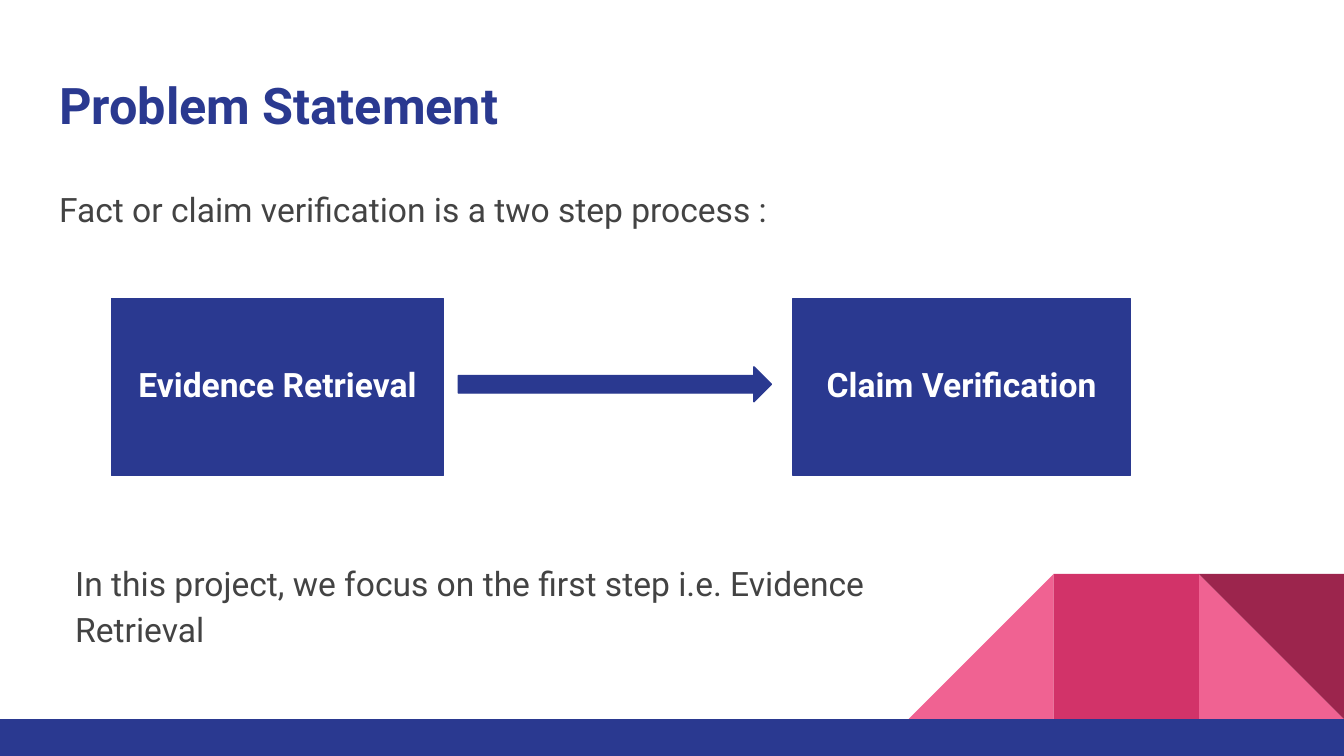
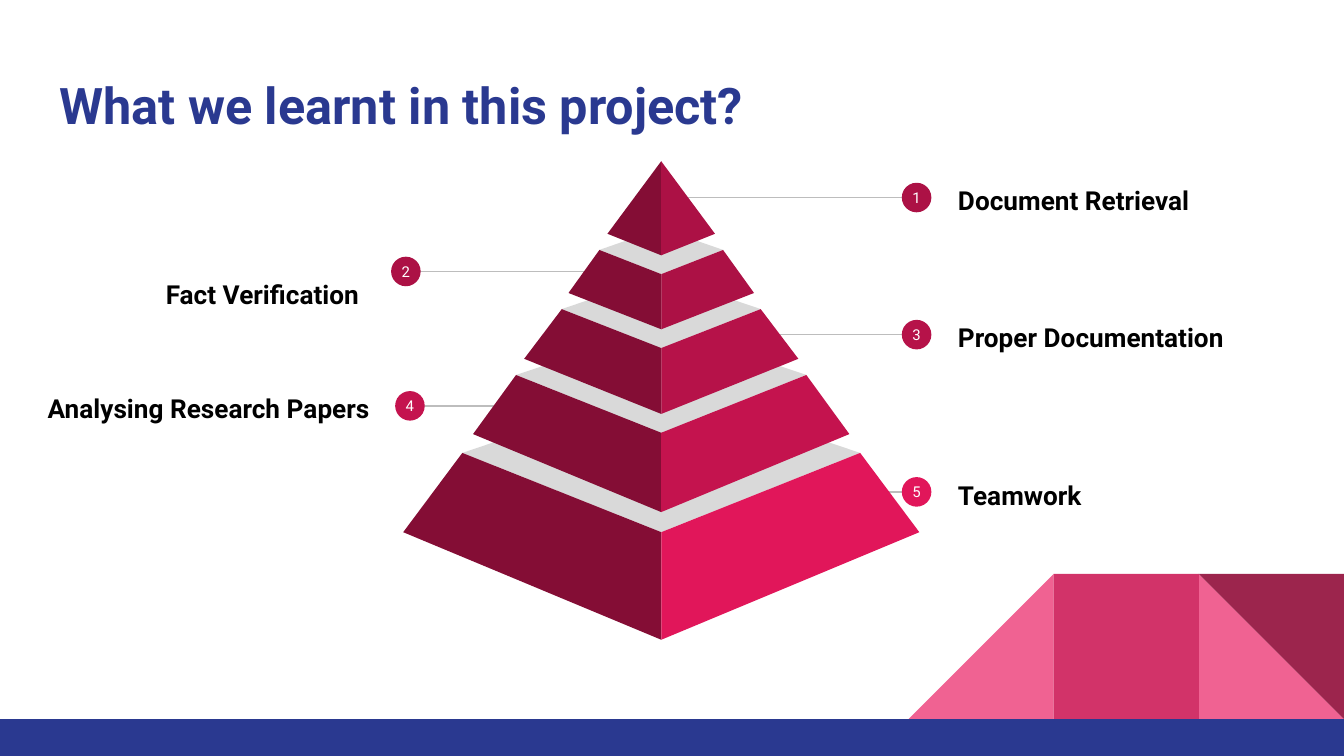
from pptx import Presentation
from pptx.dml.color import RGBColor
from pptx.enum.shapes import MSO_CONNECTOR, MSO_SHAPE
from pptx.enum.text import MSO_ANCHOR, MSO_AUTO_SIZE, PP_ALIGN
from pptx.oxml.ns import qn
from pptx.util import Inches, Pt
from lxml import etree

FONT = "Roboto"
BLUE = RGBColor(0x2A, 0x39, 0x90)
PINK = RGBColor(0xF0, 0x62, 0x92)
ROSE = RGBColor(0xD2, 0x33, 0x69)
WINE = RGBColor(0x9C, 0x25, 0x4D)
TEXT_GRAY = RGBColor(0x43, 0x43, 0x43)
LINE_GRAY = RGBColor(0xBD, 0xBD, 0xBD)
LID_GRAY = RGBColor(0xD9, 0xD9, 0xD9)
SHADE = RGBColor(0x84, 0x0D, 0x35)
CRIMSON_1 = RGBColor(0xAC, 0x11, 0x45)
CRIMSON_3 = RGBColor(0xB6, 0x12, 0x49)
CRIMSON_4 = RGBColor(0xC4, 0x13, 0x4E)
CRIMSON_5 = RGBColor(0xE1, 0x16, 0x5A)
WHITE = RGBColor(0xFF, 0xFF, 0xFF)
BLACK = RGBColor(0, 0, 0)


def paint(shape, color):
    shape.shadow.inherit = False
    shape.fill.solid()
    shape.fill.fore_color.rgb = color
    shape.line.fill.background()


def write(shape, text, size, color, bold=False, align=PP_ALIGN.LEFT,
          anchor=MSO_ANCHOR.MIDDLE, inset=0.1, spacing=1.0):
    frame = shape.text_frame
    frame.text = text
    frame.word_wrap = True
    frame.auto_size = MSO_AUTO_SIZE.NONE
    frame.vertical_anchor = anchor
    frame.margin_left = frame.margin_right = Inches(inset)
    frame.margin_top = frame.margin_bottom = Inches(inset)
    paragraph = frame.paragraphs[0]
    paragraph.alignment = align
    paragraph.line_spacing = spacing
    paragraph.space_before = Pt(0)
    font = paragraph.runs[0].font
    font.name, font.size, font.bold = FONT, Pt(size), bold
    font.color.rgb = color


presentation = Presentation()
presentation.slide_width = Inches(10)
presentation.slide_height = Inches(10) * 9 // 16

problem_slide = presentation.slides.add_slide(presentation.slide_layouts[3])
lessons_slide = presentation.slides.add_slide(presentation.slide_layouts[5])

decorations = [
    (MSO_SHAPE.RIGHT_TRIANGLE, 8.92, 4.27, 1.08, 1.08, 0, PINK),
    (MSO_SHAPE.RIGHT_TRIANGLE, 6.76, 4.27, 1.08, 1.08, 270, PINK),
    (MSO_SHAPE.RECTANGLE, 7.84, 4.27, 1.08, 1.08, 0, ROSE),
    (MSO_SHAPE.RIGHT_TRIANGLE, 8.92, 4.27, 1.08, 1.08, 180, WINE),
    (MSO_SHAPE.RECTANGLE, 0, 5.35, 10, 0.28, 0, BLUE),
]
master_tree = presentation.slide_master.shapes.element
for number, (kind, left, top, width, height, rotation, color) in enumerate(decorations):
    shape = problem_slide.shapes.add_shape(
        kind, Inches(left), Inches(top), Inches(width), Inches(height))
    shape.rotation = rotation
    paint(shape, color)
    shape.element.nvSpPr.cNvPr.set("id", str(20 + number))
    master_tree.append(shape.element)

for slide, heading in [
    (problem_slide, "Problem Statement"),
    (lessons_slide, "What we learnt in this project?"),
]:
    title = slide.shapes.title
    title.left, title.top = Inches(0.34), Inches(0.45)
    title.width, title.height = Inches(9.32), Inches(0.66)
    write(title, heading, 27, BLUE, bold=True, anchor=MSO_ANCHOR.TOP)

statements = [
    (1, 0.34, 1.26, 9.32, 0.53, "Fact or claim verification is a two step process :"),
    (2, 0.46, 4.04, 6.24, 0.87,
     "In this project, we focus on the first step i.e. Evidence Retrieval"),
]
for index, left, top, width, height, text in statements:
    body = problem_slide.placeholders[index]
    body.left, body.top = Inches(left), Inches(top)
    body.width, body.height = Inches(width), Inches(height)
    write(body, text, 18, TEXT_GRAY, anchor=MSO_ANCHOR.TOP, spacing=1.15)
    paragraph = body.text_frame.paragraphs[0]
    paragraph.space_after = Pt(12)
    properties = paragraph._p.get_or_add_pPr()
    properties.set("marL", "0")
    properties.set("indent", "0")
    etree.SubElement(properties, qn("a:buNone"))

steps = [
    (MSO_SHAPE.RECTANGLE, 0.83, 2.22, 2.47, 1.32, "Evidence Retrieval"),
    (MSO_SHAPE.RECTANGLE, 5.9, 2.22, 2.51, 1.32, "Claim Verification"),
    (MSO_SHAPE.RIGHT_ARROW, 3.41, 2.73, 2.33, 0.26, None),
]
for kind, left, top, width, height, text in steps:
    step = problem_slide.shapes.add_shape(
        kind, Inches(left), Inches(top), Inches(width), Inches(height))
    paint(step, BLUE)
    step.line.color.rgb = BLUE
    step.line.width = Pt(0.75)
    if text:
        write(step, text, 18, WHITE, bold=True, align=PP_ALIGN.CENTER)
        step.text_frame.margin_bottom = Inches(0.14)

RIGHT_LABEL = (7.03, 2.33, PP_ALIGN.LEFT)
lessons = [
    ("1", "Document Retrieval", 1.47, 5.09, 6.9, 6.71, CRIMSON_1, 1.06, *RIGHT_LABEL),
    ("3", "Proper Documentation", 2.49, 5.67, 6.9, 6.71, CRIMSON_3, 2.08, *RIGHT_LABEL),
    ("5", "Teamwork", 3.66, 6.23, 6.9, 6.71, CRIMSON_5, 3.26, *RIGHT_LABEL),
    ("2", "Fact Verification", 2.02, 4.37, 2.96, 2.91, CRIMSON_1,
     1.76, 0.15, 2.62, PP_ALIGN.RIGHT),
    ("4", "Analysing Research Papers", 3.02, 3.88, 2.99, 2.94, CRIMSON_4,
     2.61, 0.2, 2.65, PP_ALIGN.RIGHT),
]
for (number, text, middle, line_start, line_end, badge_left, color,
     label_top, label_left, label_width, align) in lessons:
    leader = lessons_slide.shapes.add_connector(
        MSO_CONNECTOR.STRAIGHT, Inches(line_start), Inches(middle),
        Inches(line_end), Inches(middle))
    leader.line.color.rgb = LINE_GRAY
    leader.line.width = Pt(0.75)
    etree.SubElement(leader.element.spPr, qn("a:effectLst"))

    badge = lessons_slide.shapes.add_shape(
        MSO_SHAPE.OVAL, Inches(badge_left), Inches(middle - 0.11),
        Inches(0.22), Inches(0.22))
    paint(badge, color)
    write(badge, number, 8, WHITE, align=PP_ALIGN.CENTER, inset=0)

    label = lessons_slide.shapes.add_textbox(
        Inches(label_left), Inches(label_top), Inches(label_width), Inches(0.82))
    write(label, text, 14, BLACK, bold=True, align=align, spacing=1.15)

CENTER = 4.92
tiers = [
    (1.48, 1.92, 2.87, 3.37, 3.96, 3.96, 4.76, CRIMSON_5),
    (1.08, 1.4, 2.43, 2.79, 3.22, 3.23, 3.81, CRIMSON_4),
    (0.74, 1.02, 2.05, 2.3, 2.59, 2.67, 3.08, CRIMSON_3),
    (0.46, 0.69, 1.7, 1.86, 2.04, 2.18, 2.45, CRIMSON_1),
    (0, 0.4, 1.2, 1.2, 1.2, 1.74, 1.9, CRIMSON_1),
]
for (top_half, base_half, back, shoulder, front,
     base_corner, base_front, color) in tiers:
    faces = []
    if top_half:
        faces.append((LID_GRAY, [(-top_half, shoulder), (0, front),
                                 (top_half, shoulder), (0, back)]))
    for side, face_color in [(-1, SHADE), (1, color)]:
        faces.append((face_color, [(side * top_half, shoulder), (0, front),
                                   (0, base_front), (side * base_half, base_corner)]))
    for face_color, corners in faces:
        points = [(Inches(CENTER + offset), Inches(y)) for offset, y in corners]
        builder = lessons_slide.shapes.build_freeform(*points[0])
        builder.add_line_segments(points[1:], close=True)
        paint(builder.convert_to_shape(), face_color)

presentation.save("out.pptx")
